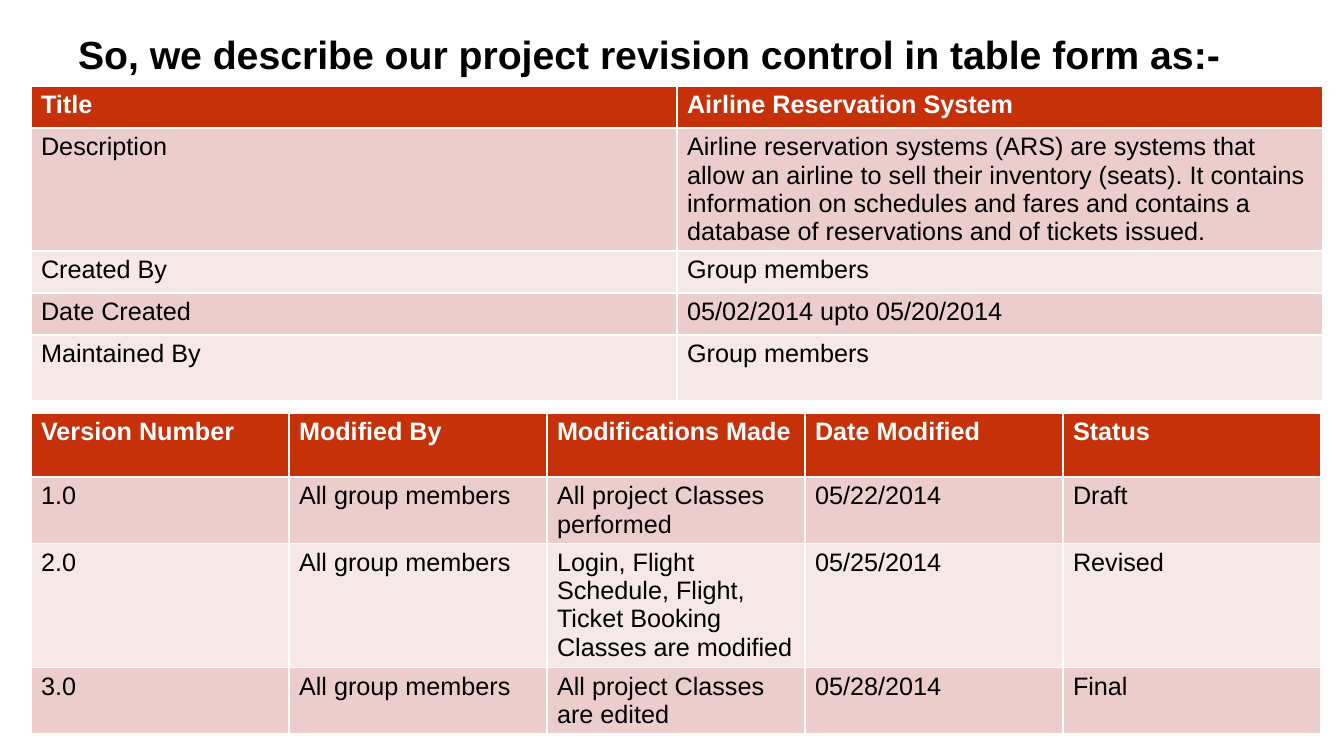
import pptx
import pptx.dml.color
import pptx.enum.text
import pptx.util

EMU_PER_PX = 914400 / 100.8
FONT_NAME = "Arial"
BLACK = pptx.dml.color.RGBColor(0x00, 0x00, 0x00)
WHITE = pptx.dml.color.RGBColor(0xFF, 0xFF, 0xFF)
HEADER_RED = pptx.dml.color.RGBColor(0xC7, 0x31, 0x09)
DARK_BAND = pptx.dml.color.RGBColor(0xEB, 0xCE, 0xCC)
LIGHT_BAND = pptx.dml.color.RGBColor(0xF5, 0xE8, 0xE7)


def px(length):
    return pptx.util.Emu(round(length * EMU_PER_PX))


def format_text(paragraph, size, bold, color):
    paragraph.font.name = FONT_NAME
    paragraph.font.size = pptx.util.Pt(size)
    paragraph.font.bold = bold
    paragraph.font.color.rgb = color


project_rows = [
    ["Title", "Airline Reservation System"],
    ["Description",
     "Airline reservation systems (ARS) are systems that allow an airline to sell "
     "their inventory (seats). It contains information on schedules and fares and "
     "contains a database of reservations and of tickets issued."],
    ["Created By", "Group members"],
    ["Date Created", "05/02/2014 upto 05/20/2014"],
    ["Maintained By", "Group members"],
]
revision_rows = [
    ["Version Number", "Modified By", "Modifications Made", "Date Modified", "Status"],
    ["1.0", "All group members", "All project Classes performed", "05/22/2014", "Draft"],
    ["2.0", "All group members",
     "Login, Flight Schedule, Flight, Ticket Booking Classes are modified",
     "05/25/2014", "Revised"],
    ["3.0", "All group members", "All project Classes are edited", "05/28/2014", "Final"],
]
tables = [
    (86, 646, [42, 123, 42, 42, 66], project_rows),
    (413, 258, [64, 66, 124, 66], revision_rows),
]

presentation = pptx.Presentation()
presentation.slide_width = px(1344)
presentation.slide_height = px(756)
slide = presentation.slides.add_slide(presentation.slide_layouts[5])

title = slide.shapes.title
title.left, title.top, title.width, title.height = px(68), px(21), px(1210), px(65)
title.text_frame.text = "So, we describe our project revision control in table form as:-"
title.text_frame.auto_size = pptx.enum.text.MSO_AUTO_SIZE.NONE
title.text_frame.vertical_anchor = pptx.enum.text.MSO_ANCHOR.MIDDLE
title_paragraph = title.text_frame.paragraphs[0]
title_paragraph.alignment = pptx.enum.text.PP_ALIGN.LEFT
format_text(title_paragraph, 28, True, BLACK)

for top, column_width, row_heights, rows in tables:
    column_count = len(rows[0])
    table = slide.shapes.add_table(
        len(rows), column_count, px(31), px(top),
        px(column_width * column_count), px(sum(row_heights))).table
    for column in table.columns:
        column.width = px(column_width)
    for row_index, texts in enumerate(rows):
        table.rows[row_index].height = px(row_heights[row_index])
        is_header = row_index == 0
        band = DARK_BAND if row_index % 2 else LIGHT_BAND
        for column_index, text in enumerate(texts):
            cell = table.cell(row_index, column_index)
            cell.text = text
            cell.fill.solid()
            cell.fill.fore_color.rgb = HEADER_RED if is_header else band
            format_text(cell.text_frame.paragraphs[0], 18, is_header,
                        WHITE if is_header else BLACK)

presentation.save("out.pptx")
